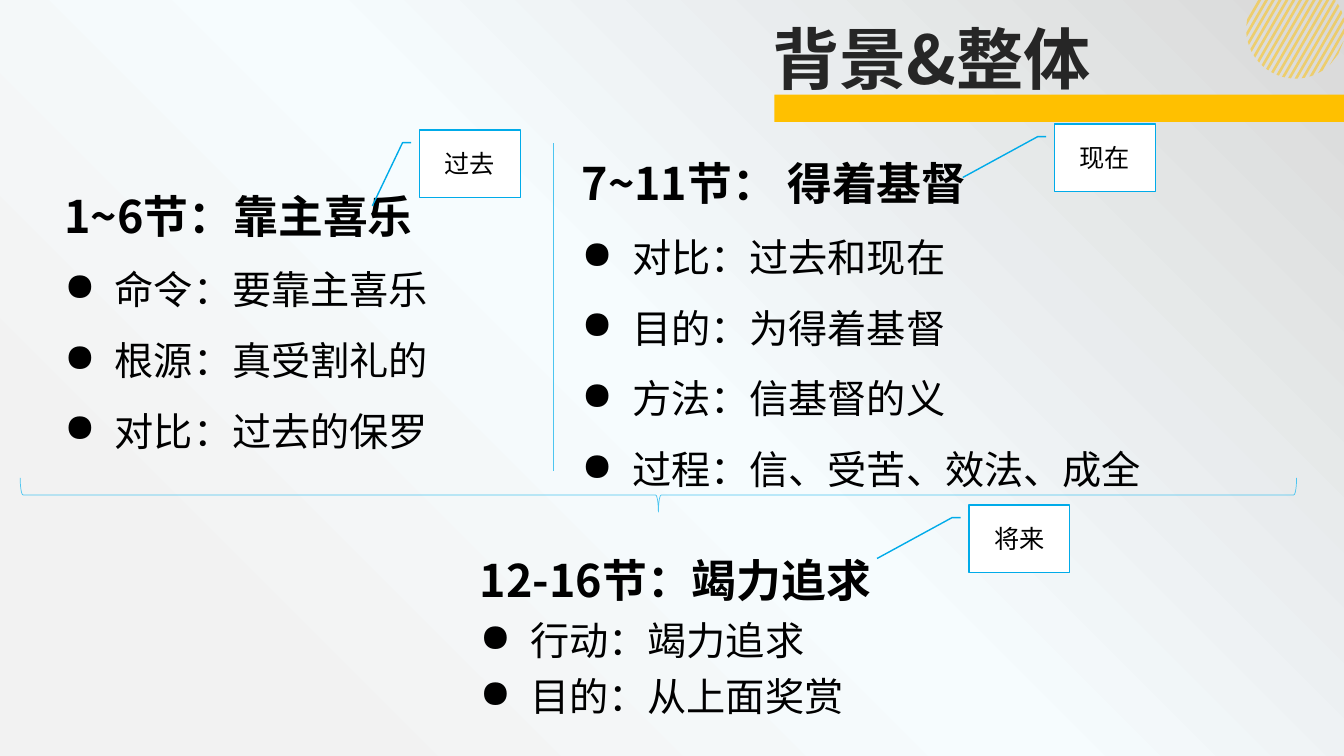
import math

import pptx
import pptx.dml.color
import pptx.enum.shapes
import pptx.enum.text
import pptx.oxml
import pptx.oxml.ns
import pptx.util
from lxml import etree

Inches = pptx.util.Inches
Pt = pptx.util.Pt
qn = pptx.oxml.ns.qn
SHAPE = pptx.enum.shapes.MSO_SHAPE
ALIGN = pptx.enum.text.PP_ALIGN
ANCHOR = pptx.enum.text.MSO_ANCHOR
FONT = "Noto Sans CJK SC"
GOLD, SKY, BLUE = "FFC000", "4CC5F0", "00ABE9"


def rgb(value):
    return pptx.dml.color.RGBColor.from_string(value)


def style(paragraph, size, color="000000", bold=False):
    for run in paragraph.runs:
        run.font.size = Pt(size)
        run.font.bold = bold
        run.font.color.rgb = rgb(color)
        run.font.name = FONT
        etree.SubElement(run.font._element, qn("a:ea"), typeface=FONT)


deck = pptx.Presentation()
deck.slide_width, deck.slide_height = Inches(13.33), Inches(7.5)
slide = deck.slides.add_slide(deck.slide_layouts[5])
shapes = slide.shapes

# Background gradient spreading from the bottom left corner
slide.background.fill.solid()
backdrop = slide.element.find(".//" + qn("p:bgPr"))
gradient = pptx.oxml.parse_xml(
    '<a:gradFill xmlns:a="http://schemas.openxmlformats.org/drawingml/2006/main"'
    ' rotWithShape="1"><a:gsLst>'
    '<a:gs pos="15000"><a:srgbClr val="F2F2F2"/></a:gs>'
    '<a:gs pos="50000"><a:srgbClr val="F6FCFE"><a:alpha val="27000"/></a:srgbClr></a:gs>'
    '<a:gs pos="100000"><a:srgbClr val="D9D9D9"/></a:gs></a:gsLst>'
    '<a:path path="circle"><a:fillToRect t="100000" r="100000"/></a:path></a:gradFill>'
)
backdrop.replace(backdrop.find(qn("a:solidFill")), gradient)

# Striped disc: slanted bands clipped by the circle and the slide's top edge
disc_x, disc_y, radius = 12.85, 0.29, 0.49
cos, sin = math.cos(math.radians(30)), math.sin(math.radians(30))
for band in range(17):
    right_edge = 12.51 + 0.0675 * band
    corners = []
    for edge in (right_edge - 0.03, right_edge):
        offset = min((edge - disc_x) * cos - disc_y * sin, radius)
        half = math.sqrt(radius ** 2 - offset ** 2)
        upper = min(half, (disc_y + offset * sin) / cos)
        ends = [(disc_x + offset * cos + t * sin, disc_y + offset * sin - t * cos)
                for t in (upper, -half)]
        corners += ends if not corners else ends[::-1]
    points = [(Inches(x), Inches(y)) for x, y in corners]
    outline = shapes.build_freeform(*points[0])
    outline.add_line_segments(points[1:], close=True)
    stripe = outline.convert_to_shape()
    stripe.shadow.inherit = False
    stripe.fill.solid()
    stripe.fill.fore_color.rgb = rgb(GOLD)
    stripe.line.fill.background()
    tint = stripe._element.spPr.find(qn("a:solidFill") + "/" + qn("a:srgbClr"))
    etree.SubElement(tint, qn("a:alpha"), val="50000")

# Title and the bar under it
underline = shapes.add_shape(
    SHAPE.RECTANGLE, Inches(7.68), Inches(0.94), Inches(5.65), Inches(0.27))
underline.shadow.inherit = False
underline.fill.solid()
underline.fill.fore_color.rgb = rgb(GOLD)
underline.line.fill.background()

title = shapes.title
title.left, title.top = Inches(7.56), Inches(0.12)
title.width, title.height = Inches(5.77), Inches(0.91)
title.text_frame.text = "背景&整体"
title.text_frame.word_wrap = True
title.text_frame.auto_size = pptx.enum.text.MSO_AUTO_SIZE.SHAPE_TO_FIT_TEXT
title.text_frame.vertical_anchor = ANCHOR.TOP
heading = title.text_frame.paragraphs[0]
heading.alignment = ALIGN.LEFT
heading.line_spacing = 1.0
style(heading, 48, "262626", True)

# Three passages: place, heading spacing, bullet spacing, lines
passages = [
    ((4.66, 5.33, 5.69, 1.85), 1.2, 1.2,
     ["12-16节：竭力追求", "行动：竭力追求", "目的：从上面奖赏"]),
    ((0.54, 1.82, 5.12, 2.69), 1.0, 1.5,
     ["1~6节：靠主喜乐", "命令：要靠主喜乐", "根源：真受割礼的", "对比：过去的保罗"]),
    ((5.67, 1.5, 5.79, 3.4), 1.0, 1.5,
     ["7~11节： 得着基督", "对比：过去和现在", "目的：为得着基督",
      "方法：信基督的义", "过程：信、受苦、效法、成全"]),
]
for place, heading_spacing, point_spacing, lines in passages:
    passage = shapes.add_textbox(*map(Inches, place)).text_frame
    passage.word_wrap = True
    passage.auto_size = pptx.enum.text.MSO_AUTO_SIZE.SHAPE_TO_FIT_TEXT
    passage.text = "\n".join(lines)
    verse, *points = passage.paragraphs
    verse.line_spacing = heading_spacing
    style(verse, 32, bold=True)
    for point in points:
        point.line_spacing = point_spacing
        layout = point._p.get_or_add_pPr()
        layout.set("marL", str(Inches(0.5)))
        layout.set("indent", str(Inches(-0.5)))
        etree.SubElement(layout, qn("a:buChar"), char="●")
        style(point, 28)

# Divider between the upper passages
divider = shapes.add_connector(
    pptx.enum.shapes.MSO_CONNECTOR.STRAIGHT,
    Inches(5.49), Inches(1.42), Inches(5.49), Inches(4.67))
divider.line.color.rgb = rgb(SKY)
divider.line.width = Pt(0.5)
etree.SubElement(divider._element.spPr, qn("a:effectLst"))

# Brace gathering the upper passages
brace = shapes.add_shape(
    SHAPE.RIGHT_BRACE, Inches(6.36), Inches(-1.42), Inches(0.34), Inches(12.66))
brace.rotation = 90
brace.shadow.inherit = False
brace.fill.background()
brace.line.color.rgb = rgb(SKY)
brace.line.width = Pt(0.5)

# Callouts naming the time of each passage; tip is (down, across) in box sizes
for time, left, top, tip in [
    ("过去", 4.16, 1.29, (1.125, -0.467)),
    ("现在", 10.46, 1.23, (0.793, -0.911)),
    ("将来", 9.61, 5.01, (0.793, -0.911)),
]:
    callout = shapes.add_shape(
        SHAPE.LINE_CALLOUT_2, Inches(left), Inches(top), Inches(1), Inches(0.67))
    for index, value in enumerate((0.188, -0.083, 0.188, -0.167, *tip)):
        callout.adjustments[index] = value
    callout.shadow.inherit = False
    callout.fill.solid()
    callout.fill.fore_color.rgb = rgb("FFFFFF")
    callout.line.color.rgb = rgb(BLUE)
    callout.line.width = Pt(1)
    callout.text_frame.text = time
    callout.text_frame.vertical_anchor = ANCHOR.MIDDLE
    label = callout.text_frame.paragraphs[0]
    label.alignment = ALIGN.CENTER
    style(label, 18)

deck.save("out.pptx")
